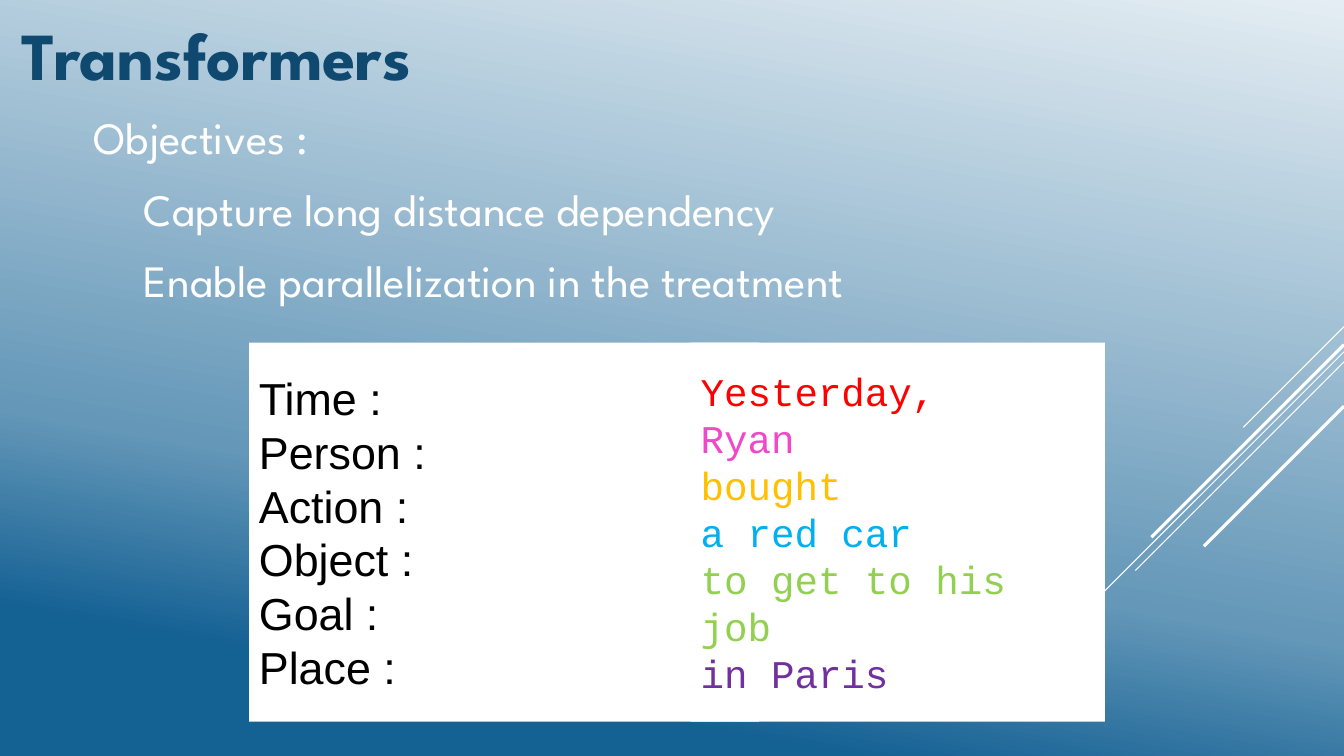
"""Builds the Transformers objectives slide with its sentence-role panel."""
from copy import deepcopy
from dataclasses import dataclass

from lxml.etree import SubElement
from pptx import Presentation
from pptx.dml.color import RGBColor
from pptx.enum.shapes import MSO_CONNECTOR as Connector, MSO_SHAPE as Shape
from pptx.enum.text import MSO_ANCHOR as Anchor, PP_ALIGN as Align
from pptx.oxml.ns import qn
from pptx.util import Emu, Pt

PX = 9144


@dataclass(frozen=True)
class Theme:
    white: str = "FFFFFF"
    black: str = "000000"
    title: str = "0F496F"
    display_font: str = "League Spartan"
    label_font: str = "Arial"
    phrase_font: str = "Courier New"
    title_size: int = 48
    text_size: int = 32
    phrase_size: int = 28
    leading: float = 1.2
    space_before: float = 0.2
    space_after: int = 6
    thin: float = 0.75
    thick: float = 2.25
    gradient: tuple = ((0, "E4EDF3"), (0.65, "6497B8"), (0.85, "146194"))
    gradient_angle: int = 260


THEME = Theme()
SLIDE_SIZE = (1333, 750)
TITLE = ["Transformers"]
OBJECTIVES = ["Objectives :", "Capture long distance dependency",
              "Enable parallelization in the treatment"]
OBJECTIVE_INDENTS = (0, 50, 50)
ROLES = [
    ("Time :", "Yesterday,", "FF0000"),
    ("Person :", "Ryan", "EF48C9"),
    ("Action :", "bought", "FFC000"),
    ("Object :", "a red car", "00B0F0"),
    ("Goal :", "to get to his job", "92D050"),
    ("Place :", "in Paris", "7030A0"),
]
TITLE_BOX = (12, 5, 1047, 97)
OBJECTIVES_BOX = (83, 102, 1047, 209)
LABELS_BOX = (247, 340, 506, 376)
PHRASES_BOX = (685, 340, 411, 376)
RAYS = [
    (324, 100, THEME.thin),
    (349, 326, THEME.thin),
    (359, 207, THEME.thin),
    (342, 191, THEME.thick),
    (403, 139, THEME.thick),
]


def px(value):
    return Emu(value * PX)


def color(value):
    return RGBColor.from_string(value)


def paint_background(page):
    fill = page.background.fill
    fill.gradient()
    fill.gradient_angle = THEME.gradient_angle
    stop_list = page.element.find(".//" + qn("a:gsLst"))
    stop_list.append(deepcopy(stop_list[-1]))
    for stop, (position, shade) in zip(fill.gradient_stops, THEME.gradient):
        stop.position = position
        stop.color.rgb = color(shade)


def draw_ray(page, top, reach, width):
    right = SLIDE_SIZE[0]
    ray = page.shapes.add_connector(
        Connector.STRAIGHT, px(right), px(top), px(right - reach), px(top + reach))
    ray.line.color.rgb = color(THEME.white)
    ray.line.width = Pt(width)
    SubElement(ray.element.spPr, qn("a:effectLst"))


def add_panel(page, area):
    panel = page.shapes.add_shape(Shape.RECTANGLE, *map(px, area))
    panel.shadow.inherit = False
    panel.fill.solid()
    panel.fill.fore_color.rgb = color(THEME.white)
    panel.line.fill.background()
    return panel


def write(box, lines, *, font, size, colors, bold=False, spaced=False, indents=None):
    frame = box.text_frame
    frame.word_wrap = True
    frame.vertical_anchor = Anchor.MIDDLE
    indents = indents or [0] * len(lines)
    for index, (line, shade, indent) in enumerate(zip(lines, colors, indents)):
        para = frame.paragraphs[0] if index == 0 else frame.add_paragraph()
        para.alignment = Align.LEFT
        para.line_spacing = Pt(size * THEME.leading)
        if spaced:
            para.space_before = Pt(size * THEME.space_before)
            para.space_after = Pt(THEME.space_after)
        if indent:
            para._p.get_or_add_pPr().set("marL", str(px(indent)))
        span = para.add_run()
        span.text = line
        span.font.name = font
        span.font.size = Pt(size)
        span.font.bold = bold
        span.font.color.rgb = color(shade)


def main():
    deck = Presentation()
    deck.slide_width, deck.slide_height = map(px, SLIDE_SIZE)
    page = deck.slides.add_slide(deck.slide_layouts[6])
    paint_background(page)
    for ray in RAYS:
        draw_ray(page, *ray)

    write(page.shapes.add_textbox(*map(px, OBJECTIVES_BOX)), OBJECTIVES,
          font=THEME.display_font, size=THEME.text_size, spaced=True,
          colors=[THEME.white] * len(OBJECTIVES), indents=OBJECTIVE_INDENTS)
    write(page.shapes.add_textbox(*map(px, TITLE_BOX)), TITLE,
          font=THEME.display_font, size=THEME.title_size, spaced=True,
          colors=[THEME.title], bold=True)

    labels, phrases, shades = zip(*ROLES)
    write(add_panel(page, LABELS_BOX), labels, font=THEME.label_font,
          size=THEME.text_size, colors=[THEME.black] * len(labels))
    write(add_panel(page, PHRASES_BOX), phrases, font=THEME.phrase_font,
          size=THEME.phrase_size, colors=shades)
    deck.save("out.pptx")


if __name__ == "__main__":
    main()
